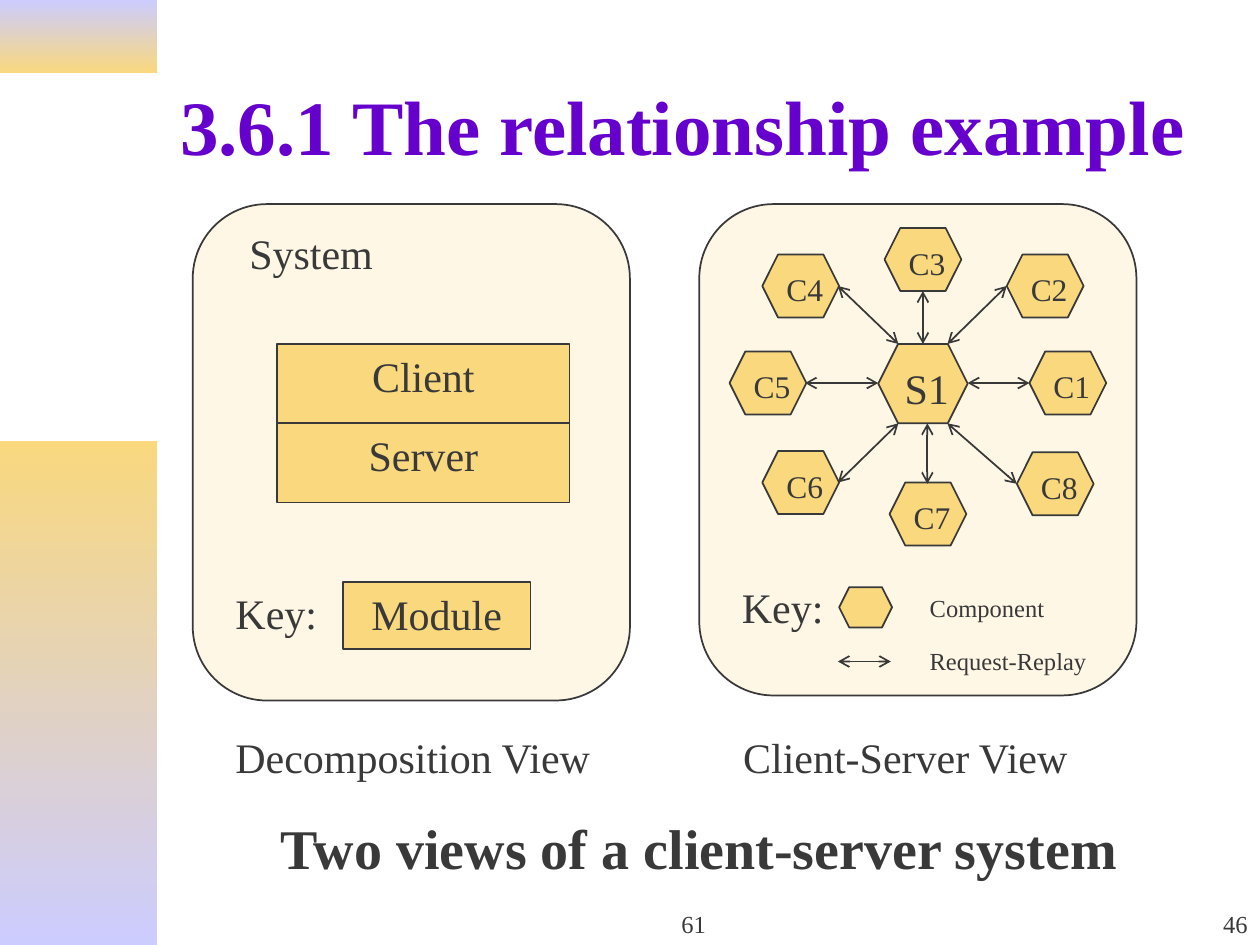
"""Build a slide that shows two views of a client-server system."""
from dataclasses import dataclass

from lxml.etree import SubElement
from pptx import Presentation
from pptx.dml.color import RGBColor
from pptx.enum.shapes import MSO_CONNECTOR, MSO_SHAPE
from pptx.enum.text import MSO_ANCHOR, MSO_AUTO_SIZE, PP_ALIGN
from pptx.oxml.ns import qn
from pptx.util import Inches, Pt


@dataclass(frozen=True)
class Theme:
    font: str = "Times New Roman"
    ink: RGBColor = RGBColor(0x39, 0x39, 0x39)
    title: RGBColor = RGBColor(0x66, 0x00, 0xCC)
    gold: RGBColor = RGBColor(0xF9, 0xD8, 0x7E)
    cream: RGBColor = RGBColor(0xFE, 0xF7, 0xE5)
    lilac: RGBColor = RGBColor(0xCC, 0xCC, 0xFF)
    title_size: int = 44
    caption_size: int = 32
    label_size: int = 24
    node_size: int = 18
    small_size: int = 14
    line_width: int = 1


theme = Theme()
presentation = Presentation()
presentation.slide_width, presentation.slide_height = Inches(10), Inches(7.5)
column = presentation.slide_width / 100
row = presentation.slide_height / 75
slide = presentation.slides.add_slide(presentation.slide_layouts[5])


def add_block(box, text="", size=theme.label_size, kind=None, fill=theme.gold,
              align=PP_ALIGN.LEFT, anchor=MSO_ANCHOR.TOP, bold=False, wrap=False):
    """Add a text box, or a filled shape when a kind is given, on the grid."""
    left, top, width, height = box
    place = [int(left * column), int(top * row), int(width * column), int(height * row)]
    if kind is None:
        shape = slide.shapes.add_textbox(*place)
    else:
        shape = slide.shapes.add_shape(kind, *place)
        shape.shadow.inherit = False
        shape.fill.solid()
        shape.fill.fore_color.rgb = fill
        shape.line.color.rgb = theme.ink
        shape.line.width = Pt(theme.line_width)
    if text:
        shape.text_frame.text = text
        shape.text_frame.word_wrap = wrap
        shape.text_frame.vertical_anchor = anchor
        paragraph = shape.text_frame.paragraphs[0]
        paragraph.alignment = align
        font = paragraph.runs[0].font
        font.name, font.size, font.bold = theme.font, Pt(size), bold
        font.color.rgb = theme.ink
    return shape


def add_arrow(start, end):
    """Join two grid points with a line that has an open arrowhead at each end."""
    connector = slide.shapes.add_connector(
        MSO_CONNECTOR.STRAIGHT, int(start[0] * column), int(start[1] * row),
        int(end[0] * column), int(end[1] * row))
    connector.line.color.rgb = theme.ink
    connector.line.width = Pt(theme.line_width)
    line = connector.line._get_or_add_ln()
    for tag in ("a:headEnd", "a:tailEnd"):
        SubElement(line, qn(tag), type="arrow")
    SubElement(connector._element.spPr, qn("a:effectLst"))


bands = [
    (0, 5.8, theme.lilac, theme.gold),
    (35, 40, theme.gold, theme.lilac),
]
for top, height, first, last in bands:
    band = add_block((0, top, 12.5, height), kind=MSO_SHAPE.RECTANGLE)
    band.line.fill.background()
    band.fill.gradient()
    band.fill.gradient_angle = 270
    for stop, color in zip(band.fill.gradient_stops, (first, last)):
        stop.color.rgb = color

title = slide.shapes.title
title.left, title.top = int(13.3 * column), int(3.3 * row)
title.width, title.height = int(85 * column), int(13.2 * row)
title.text_frame.text = "3.6.1 The relationship example"
title.text_frame.auto_size = MSO_AUTO_SIZE.NONE
title.text_frame.vertical_anchor = MSO_ANCHOR.MIDDLE
title.text_frame.paragraphs[0].alignment = PP_ALIGN.LEFT
title_font = title.text_frame.paragraphs[0].runs[0].font
title_font.name, title_font.size, title_font.bold = theme.font, Pt(theme.title_size), True
title_font.color.rgb = theme.title

for left, height in ((15.3, 39.4), (55.5, 39)):
    panel = add_block((left, 16.2, 34.7, height), kind=MSO_SHAPE.ROUNDED_RECTANGLE,
                      fill=theme.cream)
    panel.adjustments[0] = 0.17

modules = [
    ("Client", (22, 27.3, 23.2, 6.3)),
    ("Server", (22, 33.6, 23.2, 6.3)),
    ("Module", (27.2, 46.2, 14.9, 5.3)),
]
for text, box in modules:
    add_block(box, text, kind=MSO_SHAPE.RECTANGLE, align=PP_ALIGN.CENTER)

labels = [
    ("System", (18.8, 17.6, 11.8, 5), theme.label_size),
    ("Key:", (17.7, 46.1, 9.5, 5), theme.label_size),
    ("Key:", (57.9, 45.7, 9.4, 5), theme.label_size),
    ("Component", (72.8, 46.6, 14.2, 3.4), theme.small_size),
    ("Request-Replay", (72.8, 50.8, 15, 3.4), theme.small_size),
    ("Decomposition View", (17.7, 57.6, 30.4, 5), theme.label_size),
    ("Client-Server View", (58, 57.6, 28, 5), theme.label_size),
]
for text, box, size in labels:
    add_block(box, text, size)

add_block((69.7, 27.3, 7.1, 6.3), "S1", kind=MSO_SHAPE.HEXAGON)
clients = [
    ("C1", (81.7, 27.9), (76.8, 30.4), (81.7, 30.4)),
    ("C2", (79.9, 20.2), (75.2, 27.3), (79.9, 22.7)),
    ("C3", (70.2, 18.1), (73.25, 27.3), (73.25, 23.1)),
    ("C4", (60.5, 20.2), (71.3, 27.3), (66.5, 22.7)),
    ("C5", (57.9, 27.9), (69.7, 30.4), (63.9, 30.4)),
    ("C6", (60.5, 35.8), (71.3, 33.6), (66.5, 38.3)),
    ("C7", (70.6, 38.3), (73.6, 33.6), (73.6, 38.4)),
    ("C8", (80.7, 35.9), (75.2, 33.6), (80.7, 38.4)),
]
for text, corner, server_end, client_end in clients:
    add_block((*corner, 6.1, 5), text, theme.node_size, MSO_SHAPE.HEXAGON)
    add_arrow(server_end, client_end)

add_block((66.6, 46.6, 4.2, 3.2), kind=MSO_SHAPE.HEXAGON)
add_arrow((66.5, 52.5), (70.7, 52.5))

add_block((13, 64.1, 85, 6.6), "Two views of a client-server system",
          theme.caption_size, align=PP_ALIGN.CENTER, bold=True, wrap=True)
footers = [
    ("61", (39.2, 70, 31.7, 5), PP_ALIGN.CENTER),
    ("46", (79.2, 70, 20.8, 5), PP_ALIGN.RIGHT),
]
for text, box, align in footers:
    add_block(box, text, theme.small_size, align=align, anchor=MSO_ANCHOR.BOTTOM, wrap=True)

presentation.save("out.pptx")
